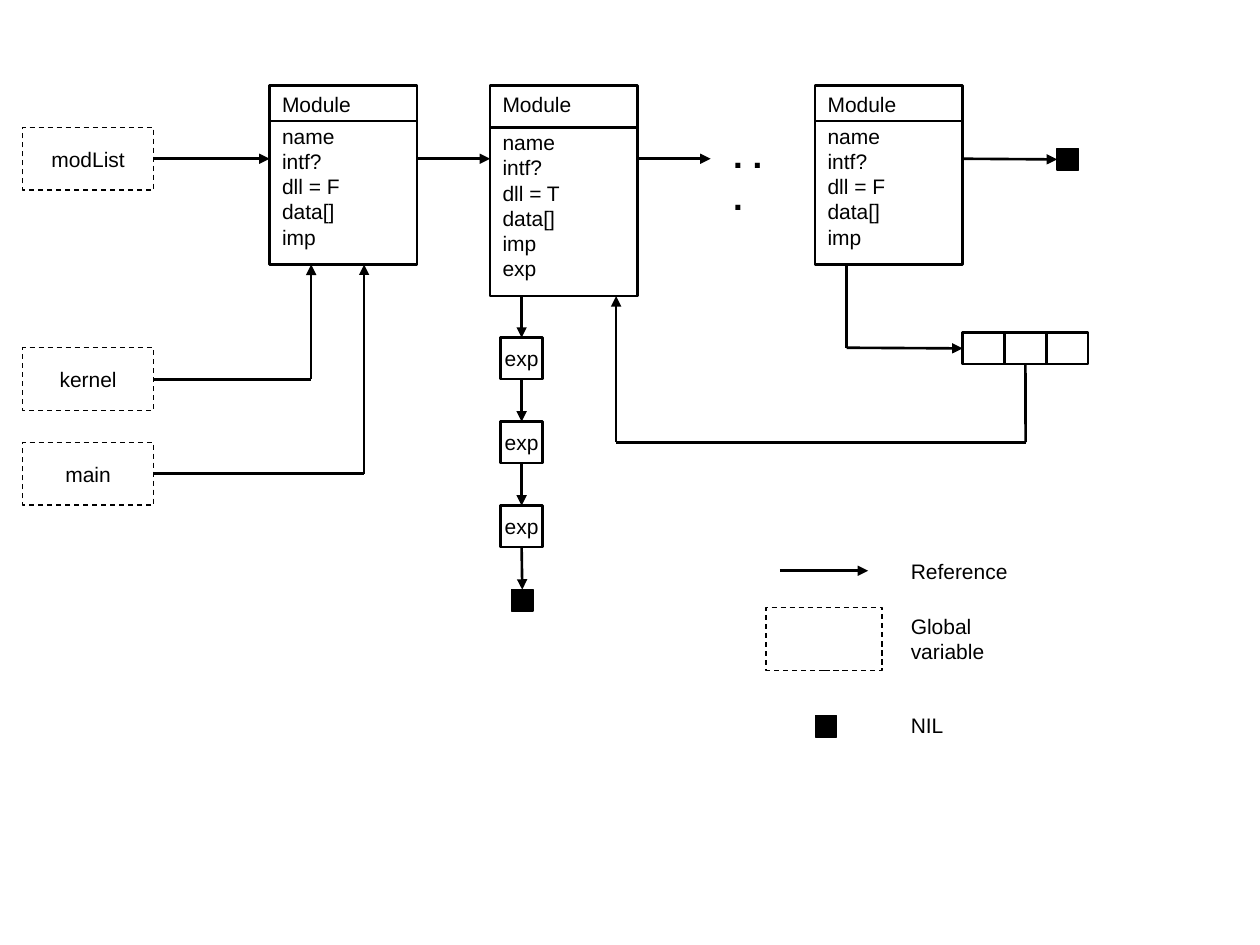
from lxml.etree import SubElement
from pptx import Presentation
from pptx.dml.color import RGBColor
from pptx.enum.dml import MSO_LINE
from pptx.enum.shapes import MSO_CONNECTOR, MSO_SHAPE
from pptx.enum.text import MSO_ANCHOR, PP_ALIGN
from pptx.oxml.ns import qn
from pptx.util import Inches, Pt

BLACK = RGBColor(0x00, 0x00, 0x00)
TOP, LEFT, BOTTOM, RIGHT = range(4)  # connection sites of a rectangle

prs = Presentation()
prs.slide_width, prs.slide_height = Inches(10), Inches(7.5)
slide = prs.slides.add_slide(prs.slide_layouts[6])
shapes = slide.shapes


def add_box(x, y, w, h, text="", size=12, bold=False, outline=None, dash=False, solid=False):
    """Plain text box, or a rectangle with centred text if outline is given."""
    at = Inches(x), Inches(y), Inches(w), Inches(h)
    if outline is None:
        box = shapes.add_textbox(*at)
    else:
        box = shapes.add_shape(MSO_SHAPE.RECTANGLE, *at)
        box.shadow.inherit = False
        if solid:
            box.fill.solid()
            box.fill.fore_color.rgb = BLACK
        else:
            box.fill.background()
        box.line.color.rgb = BLACK
        box.line.width = Pt(outline)
        if dash:
            box.line.dash_style = MSO_LINE.DASH
    if text:
        frame = box.text_frame
        frame.text = text
        frame.word_wrap = False
        frame.vertical_anchor = MSO_ANCHOR.TOP if outline is None else MSO_ANCHOR.MIDDLE
        for paragraph in frame.paragraphs:
            paragraph.alignment = PP_ALIGN.LEFT if outline is None else PP_ALIGN.CENTER
            paragraph.font.name = "Arial"
            paragraph.font.size = Pt(size)
            paragraph.font.bold = bold
            paragraph.font.color.rgb = BLACK
    return box


def add_line(x1, y1, x2, y2, arrow=True, begin=None, end=None):
    """Straight line; begin and end are (shape, site) pairs to join."""
    line = shapes.add_connector(
        MSO_CONNECTOR.STRAIGHT, Inches(x1), Inches(y1), Inches(x2), Inches(y2))
    line.line.color.rgb = BLACK
    line.line.width = Pt(1.5)
    if arrow:
        SubElement(line.line._get_or_add_ln(), qn("a:tailEnd"), type="triangle")
    SubElement(line._element.spPr, qn("a:effectLst"))
    if begin:
        line.begin_connect(*begin)
    if end:
        line.end_connect(*end)


# Modules: left, height, header height, fields
MODULE_TOP, MODULE_W = 0.68, 1.17
for x, height, header, fields in [
    (2.14, 1.42, 0.28, ["name", "intf?", "dll = F", "data[]", "imp"]),
    (3.89, 1.67, 0.33, ["name", "intf?", "dll = T", "data[]", "imp", "exp"]),
    (6.47, 1.42, 0.28, ["name", "intf?", "dll = F", "data[]", "imp"]),
]:
    divider = MODULE_TOP + header
    add_box(x, MODULE_TOP, MODULE_W, height, outline=1.5)
    add_line(x, divider, x + MODULE_W, divider, arrow=False)
    add_box(x, MODULE_TOP, 0.77, 0.3, "Module")
    add_box(x, divider - 0.03, 0.77, height - 0.34, "\n".join(fields))

# Global variables
mod_list, kernel, main_module = [
    add_box(0.18, y, 1.04, 0.5, name, outline=0.75, dash=True)
    for name, y in [("modList", 1.01), ("kernel", 2.76), ("main", 3.51)]
]

# Module list, ending in NIL
LIST_Y = 1.26
list_nil = add_box(8.39, 1.18, 0.17, 0.17, outline=0.75, solid=True)
add_line(1.22, LIST_Y, 2.14, LIST_Y, begin=(mod_list, RIGHT))
add_line(3.31, LIST_Y, 3.89, LIST_Y)
add_line(5.06, LIST_Y, 5.64, LIST_Y)
add_box(5.72, 1.01, 0.58, 0.77, ". . .", size=20, bold=True)
add_line(7.64, LIST_Y, 8.39, LIST_Y, end=(list_nil, LEFT))

# kernel and main refer to the first module
for variable, x, y in [(kernel, 2.47, 3.01), (main_module, 2.89, 3.76)]:
    add_line(1.22, y, x, y, arrow=False, begin=(variable, RIGHT))
    add_line(x, y, x, 2.1)

# Export chain of the second module, ending in NIL
EXP_X, EXP_SIZE = 4.14, 0.33
previous = None
for i in range(3):
    y = 2.68 + i * 2 / 3
    export = add_box(EXP_X - EXP_SIZE / 2, y, EXP_SIZE, EXP_SIZE, "exp", outline=1.5)
    frame = export.text_frame
    frame.margin_left = frame.margin_right = frame.margin_top = frame.margin_bottom = 0
    add_line(EXP_X, y - 0.33, EXP_X, y, begin=previous, end=(export, TOP))
    previous = (export, BOTTOM)
export_nil = add_box(4.06, 4.68, 0.17, 0.17, outline=0.75, solid=True)
add_line(EXP_X, 4.35, EXP_X, 4.68, begin=previous, end=(export_nil, TOP))

# Import array of the last module, referring back to the second
imports = [add_box(7.64 + i / 3, 2.64, 0.33, 0.25, outline=1.5) for i in range(3)]
add_line(6.72, 2.1, 6.72, 2.76, arrow=False)
add_line(6.72, 2.76, 7.64, 2.76, end=(imports[0], LEFT))
add_line(8.14, 2.89, 8.14, 3.51, arrow=False, begin=(imports[1], BOTTOM))
add_line(8.14, 3.51, 4.89, 3.51, arrow=False)
add_line(4.89, 3.51, 4.89, 2.35)

# Legend
add_line(6.19, 4.53, 6.89, 4.53)
add_box(6.08, 4.82, 0.92, 0.5, outline=0.75, dash=True)
add_box(6.47, 5.68, 0.17, 0.17, outline=0.75, solid=True)
for label, y, height in [("Reference", 4.38, 0.3), ("Global variable", 4.82, 0.5), ("NIL", 5.61, 0.3)]:
    add_box(7.13, y, 1.01, height, label).text_frame.word_wrap = True

prs.save("out.pptx")
